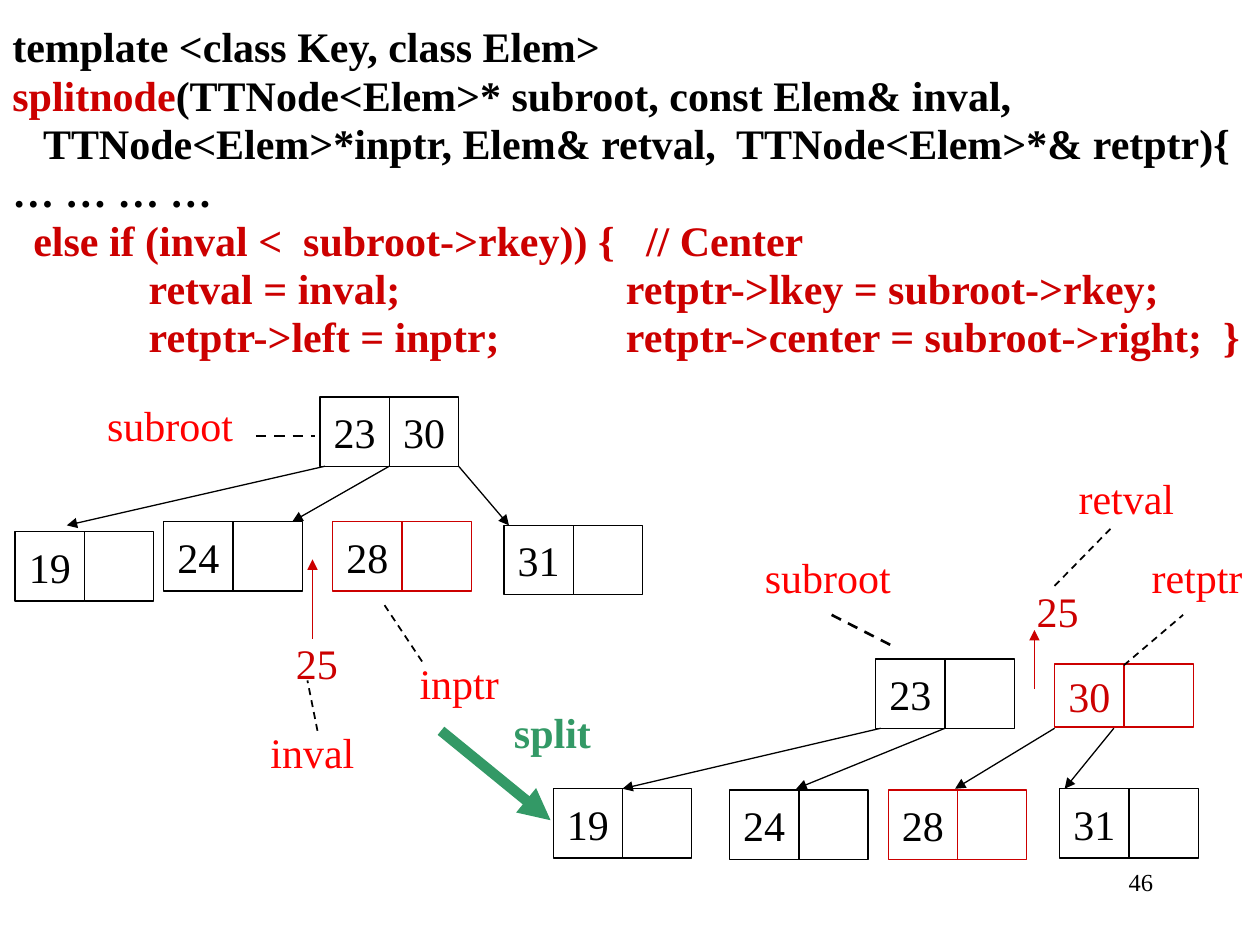
from lxml import etree
from pptx import Presentation
from pptx.dml.color import RGBColor
from pptx.enum.dml import MSO_LINE
from pptx.enum.shapes import MSO_CONNECTOR, MSO_SHAPE
from pptx.enum.text import MSO_ANCHOR, PP_ALIGN
from pptx.oxml.ns import qn
from pptx.util import Inches, Pt

FONT = "Times New Roman"
BLACK, WHITE, RED, DARK_RED, GREEN = "000000", "FFFFFF", "FF0000", "CC0000", "339966"
CELL = 0.55
SECOND_COLUMN = 4.87  # tab stop of the second statement on a code line

# Each code line is a list of (text, colour) runs
CODE = [
    [("template <class Key, class Elem>", BLACK)],
    [("splitnode", DARK_RED), ("(TTNode<Elem>* subroot, const Elem& inval,", BLACK)],
    [("   TTNode<Elem>*inptr, Elem& retval,  TTNode<Elem>*& retptr){", BLACK)],
    [("… … … …", BLACK)],
    [("  else if (inval <  subroot->rkey)) {   // Center", DARK_RED)],
    [("             retval = inval;\tretptr->lkey = subroot->rkey;", DARK_RED)],
    [("             retptr->left = inptr;\tretptr->center = subroot->right;  }", DARK_RED)],
]


def color(value):
    return RGBColor.from_string(value)


def style(font, value, size=24, bold=False):
    font.name, font.size, font.bold = FONT, Pt(size), bold
    font.color.rgb = color(value)


def add_label(slide, left, top, width, text, value=RED, size=24, bold=False,
              align=PP_ALIGN.CENTER):
    box = slide.shapes.add_textbox(Inches(left), Inches(top), Inches(width), Inches(0.5))
    box.text_frame.word_wrap = False
    box.text_frame.text = text
    paragraph = box.text_frame.paragraphs[0]
    paragraph.alignment = align
    style(paragraph.runs[0].font, value, size, bold)


def add_line(slide, start, end, value=BLACK, width=0.75, arrow=True):
    """Solid arrow, or a dashed pointer line when arrow is False."""
    line = slide.shapes.add_connector(
        MSO_CONNECTOR.STRAIGHT, *(Inches(number) for number in (*start, *end)))
    line.line.color.rgb = color(value)
    line.line.width = Pt(width)
    if arrow:
        etree.SubElement(line.line._get_or_add_ln(), qn("a:tailEnd"), type="triangle")
    else:
        line.line.dash_style = MSO_LINE.DASH
    etree.SubElement(line._element.spPr, qn("a:effectLst"))


def add_node(slide, left, top, keys, value=BLACK, key_value=BLACK, fill=None, height=CELL):
    """Tree node: two adjoining cells, either of which may be empty."""
    for index, key in enumerate(keys):
        cell = slide.shapes.add_shape(
            MSO_SHAPE.RECTANGLE, Inches(left + index * CELL), Inches(top),
            Inches(CELL), Inches(height))
        cell.shadow.inherit = False
        if fill:
            cell.fill.solid()
            cell.fill.fore_color.rgb = color(fill)
        else:
            cell.fill.background()
        cell.line.color.rgb = color(value)
        cell.line.width = Pt(0.75)
        if key:
            frame = cell.text_frame
            frame.word_wrap = False
            frame.vertical_anchor = MSO_ANCHOR.MIDDLE
            frame.text = key
            frame.paragraphs[0].alignment = PP_ALIGN.CENTER
            style(frame.paragraphs[0].runs[0].font, key_value)


def add_code(slide, left, top, width, height):
    box = slide.shapes.add_textbox(Inches(left), Inches(top), Inches(width), Inches(height))
    frame = box.text_frame
    frame.word_wrap = True
    for index, parts in enumerate(CODE):
        paragraph = frame.add_paragraph() if index else frame.paragraphs[0]
        paragraph.line_spacing = 0.75
        if index:
            paragraph.space_before = Pt(6)
        if "\t" in parts[0][0]:
            tabs = etree.SubElement(paragraph._p.get_or_add_pPr(), qn("a:tabLst"))
            etree.SubElement(tabs, qn("a:tab"), pos=str(Inches(SECOND_COLUMN)), algn="l")
        for text, value in parts:
            run = paragraph.add_run()
            run.text = text
            style(run.font, value, bold=True)


def add_tree(slide, left, top, nodes, lines, labels):
    """Draw one tree; all positions are offsets from left, top."""
    def shift(point):
        return left + point[0], top + point[1]

    for point, keys, options in nodes:
        add_node(slide, *shift(point), keys, **options)
    for start, end, options in lines:
        add_line(slide, shift(start), shift(end), **options)
    for point, width, text, value in labels:
        add_label(slide, *shift(point), width, text, value)


def add_tree_before(slide, left, top):
    pointer = {"width": 1, "arrow": False}
    add_tree(
        slide, left, top,
        nodes=[
            ((2.54, 0.15), ("23", "30"), {}),
            ((0.12, 1.22), ("19", ""), {}),
            ((1.3, 1.14), ("24", ""), {}),
            ((2.64, 1.14), ("28", ""), {"value": DARK_RED}),
            ((4, 1.17), ("31", ""), {}),
        ],
        lines=[
            ((2.58, 0.7), (0.53, 1.17), {}),
            ((3.09, 0.7), (2.32, 1.14), {}),
            ((3.64, 0.7), (4.04, 1.17), {}),
            ((2.48, 2.07), (2.48, 1.44), {"value": DARK_RED}),
            ((2.03, 0.46), (2.5, 0.46), {"width": 1.5, "arrow": False}),
            ((3.35, 2.25), (3.03, 1.77), pointer),
            ((2.52, 2.8), (2.44, 2.4), pointer),
        ],
        labels=[
            ((0.75, 0.12), 1.2, "subroot", RED),
            ((2.25, 2.01), 0.53, "25", DARK_RED),
            ((3.23, 2.17), 0.83, "inptr", RED),
            ((2.03, 2.72), 0.9, "inval", RED),
        ])


def add_tree_after(slide, left, top):
    pointer = {"width": 1, "arrow": False}
    add_tree(
        slide, left, top,
        nodes=[
            ((2.95, 1.73), ("23", ""), {}),
            ((4.37, 1.77), ("30", ""),
             {"value": DARK_RED, "key_value": DARK_RED, "height": 0.5}),
            ((0.39, 2.76), ("19", ""), {}),
            ((1.79, 2.77), ("24", ""), {}),
            ((3.05, 2.77), ("28", ""), {"value": DARK_RED}),
            ((4.41, 2.76), ("31", ""), {"fill": WHITE}),
        ],
        lines=[
            ((2.99, 2.28), (0.94, 2.76), {}),
            ((3.5, 2.28), (2.32, 2.76), {}),
            ((4.37, 2.28), (3.58, 2.76), {}),
            ((4.84, 2.28), (4.45, 2.76), {}),
            ((4.21, 1.97), (4.21, 1.5), {"value": DARK_RED}),
            ((2.6, 1.38), (3.07, 1.62), {"width": 1.5, "arrow": False}),
            ((4.37, 1.15), (4.84, 0.67), pointer),
            ((4.92, 1.78), (5.39, 1.38), pointer),
        ],
        labels=[
            ((1.97, 0.83), 1.2, "subroot", RED),
            ((4.13, 1.1), 0.53, "25", DARK_RED),
            ((4.46, 0.2), 0.96, "retval", RED),
            ((5.04, 0.83), 0.92, "retptr", RED),
        ])


def add_split_step(slide, left, top):
    add_label(slide, left + 0.48, top, 0.81, "split", GREEN, bold=True)
    add_line(slide, (left, top + 0.24), (left + 0.87, top + 0.95), GREEN, 6)


def main():
    presentation = Presentation()
    presentation.slide_width, presentation.slide_height = Inches(10), Inches(7.5)
    slide = presentation.slides.add_slide(presentation.slide_layouts[6])
    # Page number
    add_label(slide, 7.17, 6.83, 2.08, "46", BLACK, size=14, align=PP_ALIGN.RIGHT)
    # Code listing
    add_code(slide, 0, 0.21, 10, 2.8)
    # Tree before the split, the split arrow, and the tree after it
    add_tree_before(slide, 0, 3)
    add_split_step(slide, 3.5, 5.56)
    add_tree_after(slide, 4, 3.5)
    presentation.save("out.pptx")


if __name__ == "__main__":
    main()
